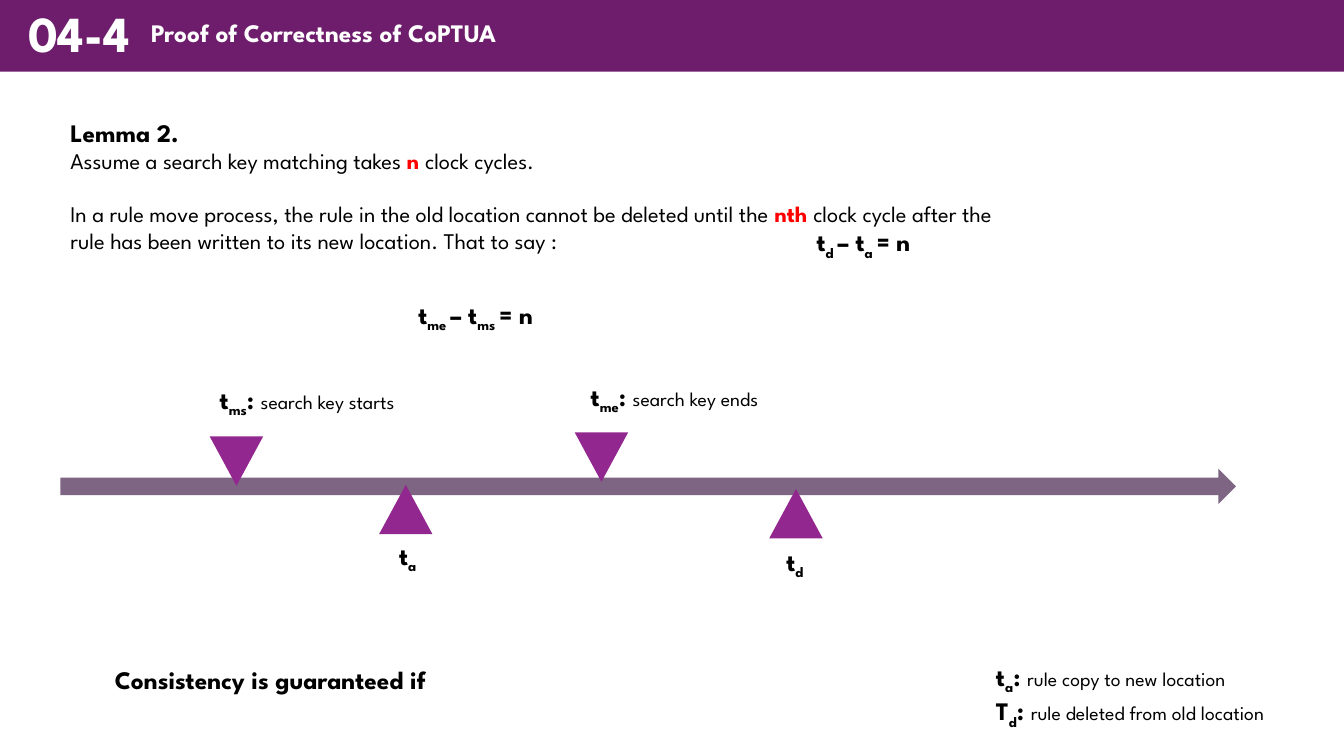
"""Build the slide on Lemma 2 of the CoPTUA correctness proof."""
from pptx import Presentation
from pptx.dml.color import RGBColor
from pptx.enum.shapes import MSO_SHAPE as Shape
from pptx.enum.text import MSO_ANCHOR as Anchor, MSO_AUTO_SIZE as AutoSize
from pptx.util import Pt

PX = 9144
FONT = "League Spartan"
COLORS = {
    "banner": "6D1D6B", "arrow": "7E6583", "marker": "92278F",
    "white": "FFFFFF", "black": "000000", "red": "FF0000",
}
STYLES = {
    "number": {"size": 36, "bold": True, "color": "white"},
    "title": {"size": 18, "bold": True, "color": "white"},
    "strong": {"size": 18, "bold": True, "color": "black"},
    "sub": {"size": 18, "bold": True, "color": "black", "baseline": -25000},
    "body": {"size": 16, "bold": False, "color": "black"},
    "key": {"size": 16, "bold": True, "color": "red"},
    "note": {"size": 14, "bold": False, "color": "black"},
}

BANNER = (0, 0, 1333, 71)
TIMELINE = (60, 465, 1166, 35)
MARKER_SIZE = (53, 49)
MARKERS = [(208, 433, 180), (570, 429, 180), (376, 481, 0), (763, 485, 0)]

HEADINGS = [
    ((140, 16, 1114, 40), [[("Proof of Correctness of CoPTUA", "title")]], Anchor.TOP),
    ((18, 9, 154, 53), [[("04-4", "number")]], Anchor.MIDDLE),
]
LEMMA = [
    [("Lemma 2.", "strong")],
    [("Assume a search key matching takes ", "body"), ("n ", "key"),
     ("clock cycles.", "body")],
    [("In a rule move process, the rule in the old location cannot be deleted until the ",
      "body"), ("nth ", "key"),
     ("clock cycle after the rule has been written to its new location. That to say :",
      "body")],
]
CONCLUSION = [[("Consistency is guaranteed if", "strong")]]


def symbol(letter, index):
    """Return the spans of a letter with a subscript."""
    return [(letter, "strong"), (index, "sub")]


def meaning(letter, index, words):
    """Return the spans of a symbol and its explanation."""
    return symbol(letter, index) + [(": ", "strong"), (words, "note")]


def difference(later, earlier):
    """Return the spans stating that two times are n cycles apart."""
    return [*symbol("t", later + " "), *symbol("– t", earlier + " "), ("= n", "strong")]


LABELS = [
    ((208, 376, 221, 40), [meaning("t", "ms", "search key starts")]),
    ((576, 373, 222, 40), [meaning("t", "me", "search key ends")]),
    ((405, 292, 158, 40), [difference("me", "ms")]),
    ((386, 531, 39, 40), [symbol("t", "a")]),
    ((800, 220, 128, 40), [difference("d", "a")]),
    ((770, 537, 39, 40), [symbol("t", "d")]),
    ((978, 651, 340, 71), [meaning("t", "a", "rule copy to new location"),
                           meaning("T", "d", "rule deleted from old location")]),
]


def emu(lengths):
    """Turn px lengths into EMU."""
    return [length * PX for length in lengths]


def add_figure(page, kind, place, color, rotation=0):
    """Add a plain filled shape."""
    figure = page.shapes.add_shape(kind, *emu(place))
    figure.shadow.inherit = False
    figure.fill.solid()
    figure.fill.fore_color.rgb = RGBColor.from_string(COLORS[color])
    figure.line.fill.background()
    figure.rotation = rotation


def add_span(para, text, size, bold, color, baseline=0):
    """Add one run of text with its format."""
    span = para.add_run()
    span.text = text
    span.font.name = FONT
    span.font.size = Pt(size)
    span.font.bold = bold
    span.font.color.rgb = RGBColor.from_string(COLORS[color])
    if baseline:
        span.font._element.set("baseline", str(baseline))


def add_text(page, place, lines, wrap=True, fit=True, anchor=Anchor.TOP, spacing=None):
    """Add a text box and return its paragraphs."""
    frame = page.shapes.add_textbox(*emu(place)).text_frame
    frame.word_wrap = wrap
    frame.auto_size = AutoSize.SHAPE_TO_FIT_TEXT if fit else AutoSize.NONE
    frame.vertical_anchor = anchor
    for number, spans in enumerate(lines):
        para = frame.add_paragraph() if number else frame.paragraphs[0]
        para.line_spacing = spacing
        for text, style in spans:
            add_span(para, text, **STYLES[style])
    return frame.paragraphs


def main():
    """Draw the slide and save it."""
    deck = Presentation()
    deck.slide_width, deck.slide_height = emu((1333, 750))
    page = deck.slides.add_slide(deck.slide_layouts[6])

    add_figure(page, Shape.RECTANGLE, BANNER, "banner")
    for place, lines, anchor in HEADINGS:
        add_text(page, place, lines, fit=False, anchor=anchor, spacing=0.9)
    lemma = add_text(page, (60, 111, 967, 148), LEMMA)
    lemma[-1].space_before = Pt(19)

    add_figure(page, Shape.RIGHT_ARROW, TIMELINE, "arrow")
    for left, top, rotation in MARKERS:
        add_figure(page, Shape.ISOSCELES_TRIANGLE, (left, top, *MARKER_SIZE),
                   "marker", rotation)
    for place, lines in LABELS:
        add_text(page, place, lines, wrap=False)
    add_text(page, (104, 654, 790, 40), CONCLUSION)
    deck.save("out.pptx")


if __name__ == "__main__":
    main()
